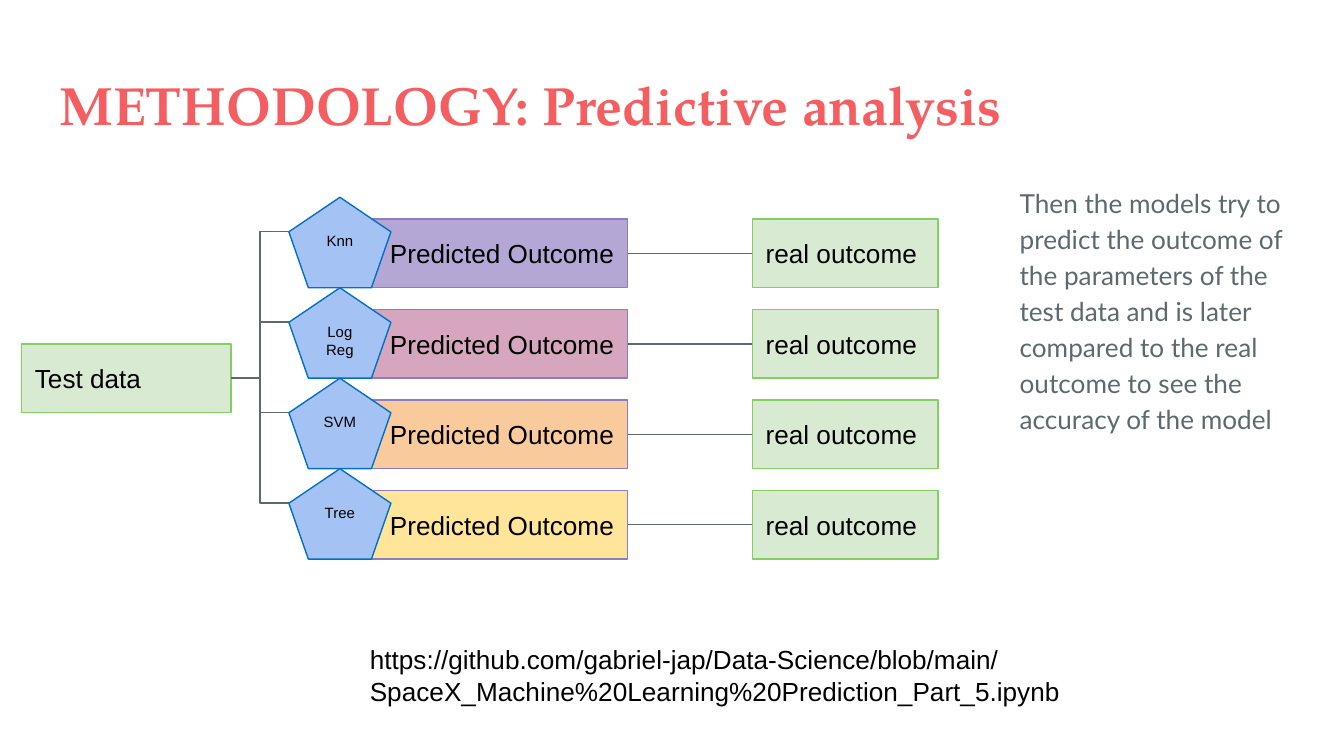
import pptx
import pptx.util
import pptx.dml.color
import pptx.enum.shapes
import pptx.enum.text
import pptx.oxml
import pptx.oxml.ns

Cm = pptx.util.Cm
Pt = pptx.util.Pt
RGBColor = pptx.dml.color.RGBColor
SHAPE = pptx.enum.shapes.MSO_SHAPE
CONNECTOR = pptx.enum.shapes.MSO_CONNECTOR
ANCHOR = pptx.enum.text.MSO_ANCHOR
ALIGN = pptx.enum.text.PP_ALIGN
AUTO_SIZE = pptx.enum.text.MSO_AUTO_SIZE

BLACK = RGBColor(0x00, 0x00, 0x00)
CORAL = RGBColor(0xF5, 0x5E, 0x61)
SLATE = RGBColor(0x5E, 0x69, 0x6C)
PALE_GREEN = RGBColor(0xD9, 0xEA, 0xD3)
GREEN = RGBColor(0x83, 0xD0, 0x61)
PALE_BLUE = RGBColor(0xA4, 0xC2, 0xF4)
BLUE = RGBColor(0x00, 0x70, 0xC0)
PURPLE = RGBColor(0x8E, 0x7C, 0xC3)
LILAC = RGBColor(0xB4, 0xA7, 0xD6)
PINK = RGBColor(0xD5, 0xA6, 0xBD)
ORANGE = RGBColor(0xF9, 0xCB, 0x9C)
YELLOW = RGBColor(0xFF, 0xE5, 0x99)

MODELS = [("Knn", LILAC), ("Log\nReg", PINK), ("SVM", ORANGE), ("Tree", YELLOW)]
ROW_HEIGHT = Cm(1.71)
BOX_HEIGHT = Cm(1.3)


def write(shape, text, size, font="Arial", color=BLACK, bold=False,
          align=ALIGN.LEFT, anchor=ANCHOR.TOP):
    frame = shape.text_frame
    frame.text = text
    frame.word_wrap = True
    frame.auto_size = AUTO_SIZE.NONE
    frame.vertical_anchor = anchor
    frame.margin_left = frame.margin_right = Cm(0.25)
    frame.margin_top = frame.margin_bottom = Cm(0.25)
    for para in frame.paragraphs:
        para.alignment = align
        for span in para.runs:
            span.font.size = Pt(size)
            span.font.name = font
            span.font.bold = bold
            span.font.color.rgb = color


def place(shape, box):
    shape.left, shape.top, shape.width, shape.height = box


def add_node(page, kind, box, fill, line, text, size=14, **layout):
    node = page.shapes.add_shape(kind, *box)
    node.shadow.inherit = False
    node.fill.solid()
    node.fill.fore_color.rgb = fill
    node.line.color.rgb = line
    node.line.width = Pt(0.75)
    write(node, text, size, **layout)
    return node


def add_elbow(page, start, end_x, end_y):
    """Draw an elbow line from the right side of a rectangle to a point."""
    elbow = page.shapes.add_connector(
        CONNECTOR.ELBOW, start.left + start.width,
        start.top + start.height // 2, end_x, end_y)
    elbow.begin_connect(start, 3)
    elbow.line.color.rgb = SLATE
    elbow.line.width = Pt(0.75)
    properties = elbow._element.spPr
    properties.append(pptx.oxml.parse_xml(
        "<a:effectLst %s/>" % pptx.oxml.ns.nsdecls("a")))
    return elbow


def add_model_row(page, box, test_data, model, color):
    """Draw one model with its predicted and real outcome."""
    left, top, width, height = box
    outcome_top = top + height - BOX_HEIGHT
    predicted = add_node(
        page, SHAPE.RECTANGLE, (left + Cm(1.45), outcome_top, Cm(4.95), BOX_HEIGHT),
        color, PURPLE, "Predicted Outcome", align=ALIGN.RIGHT, anchor=ANCHOR.MIDDLE)
    add_node(page, SHAPE.REGULAR_PENTAGON, (left, top, Cm(1.93), height),
             PALE_BLUE, BLUE, model, size=8, align=ALIGN.CENTER)
    real_width = Cm(3.51)
    real = add_node(
        page, SHAPE.RECTANGLE,
        (left + width - real_width, outcome_top, real_width, BOX_HEIGHT),
        PALE_GREEN, GREEN, "real outcome", anchor=ANCHOR.MIDDLE)
    add_elbow(page, test_data, left, top + Cm(0.65))
    comparison = add_elbow(page, predicted, real.left, real.top + BOX_HEIGHT // 2)
    comparison.end_connect(real, 1)


def add_diagram(page, box):
    left, top, width, height = box
    test_data = add_node(
        page, SHAPE.RECTANGLE, (left, top + Cm(2.77), Cm(3.96), BOX_HEIGHT),
        PALE_GREEN, GREEN, "Test data", anchor=ANCHOR.MIDDLE)
    indent = Cm(5.05)
    for index, (model, color) in enumerate(MODELS):
        row = (left + indent, top + index * ROW_HEIGHT, width - indent, ROW_HEIGHT)
        add_model_row(page, row, test_data, model, color)


def add_title(page, box):
    title = page.shapes.title
    place(title, box)
    write(title, "METHODOLOGY: Predictive analysis", 28.8,
          "TeX Gyre Pagella", CORAL, bold=True)


def add_explanation(page, box):
    body = page.placeholders[1]
    place(body, box)
    write(body, "Then the models try to predict the outcome of the parameters of "
          "the test data and is later compared to the real outcome to see the "
          "accuracy of the model", 14, "Lato", SLATE)
    para = body.text_frame.paragraphs[0]
    para.line_spacing = 1.15
    para.space_before = Pt(0)
    para.space_after = Pt(12)
    properties = para._p.get_or_add_pPr()
    properties.set("marL", "0")
    properties.set("indent", "0")
    properties.append(pptx.oxml.parse_xml(
        "<a:buNone %s/>" % pptx.oxml.ns.nsdecls("a")))


def add_notebook_address(page, box):
    address = page.shapes.add_textbox(*box)
    write(address, "https://github.com/gabriel-jap/Data-Science/blob/main/"
          "SpaceX_Machine%20Learning%20Prediction_Part_5.ipynb", 14)
    address.text_frame.auto_size = AUTO_SIZE.SHAPE_TO_FIT_TEXT


def main():
    deck = pptx.Presentation()
    deck.slide_width, deck.slide_height = Cm(25.4), Cm(14.29)
    page = deck.slides.add_slide(deck.slide_layouts[1])
    add_title(page, (Cm(0.87), Cm(1.1), Cm(23.67), Cm(1.73)))
    add_diagram(page, (Cm(0.41), Cm(3.73), Cm(17.32), len(MODELS) * ROW_HEIGHT))
    add_explanation(page, (Cm(19.02), Cm(3.2), Cm(5.52), Cm(7.22)))
    add_notebook_address(page, (Cm(6.74), Cm(11.92), Cm(14.32), Cm(1.7)))
    deck.save("out.pptx")


if __name__ == "__main__":
    main()
